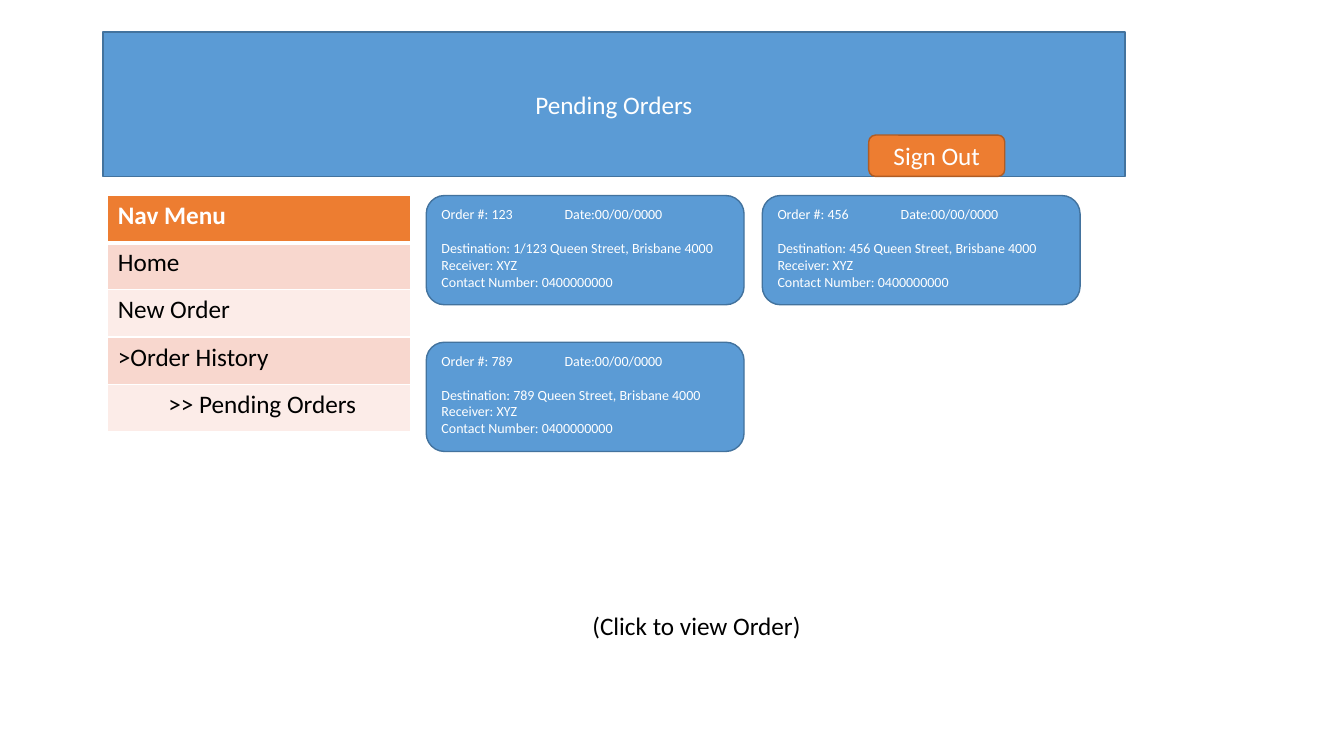
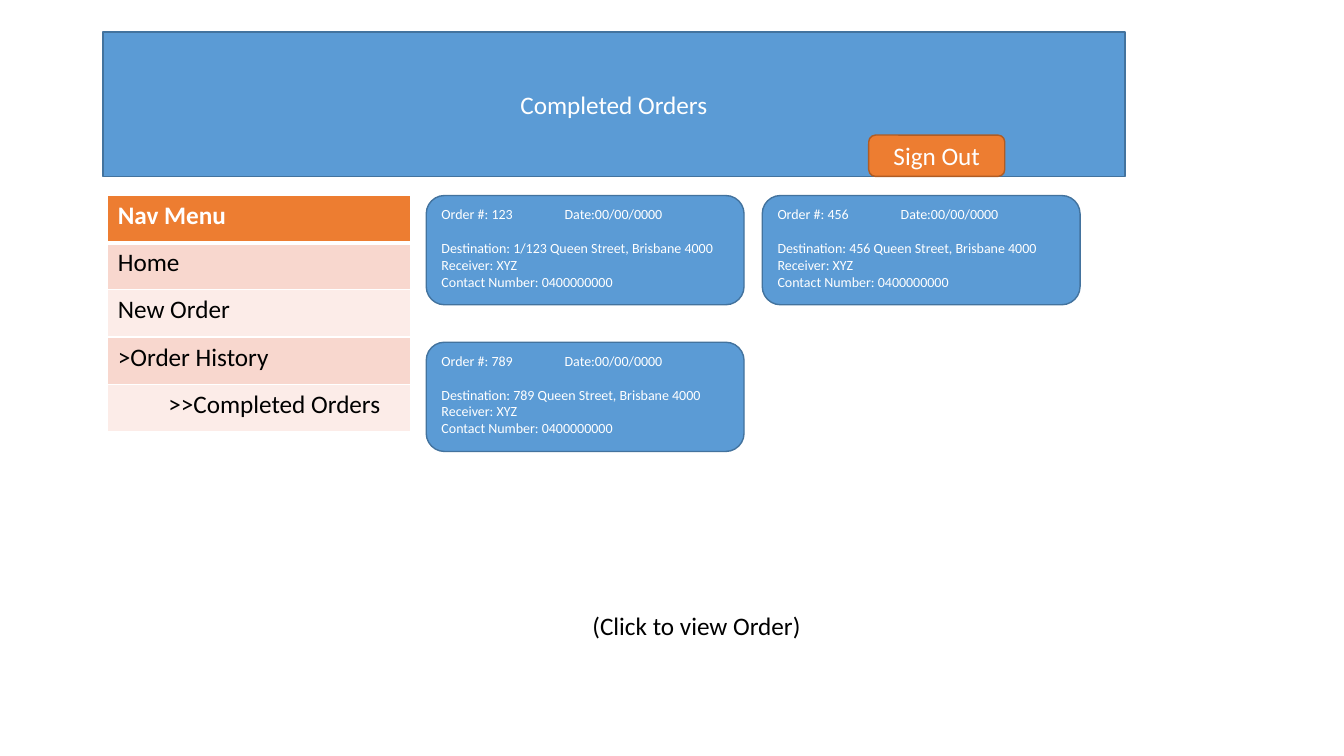
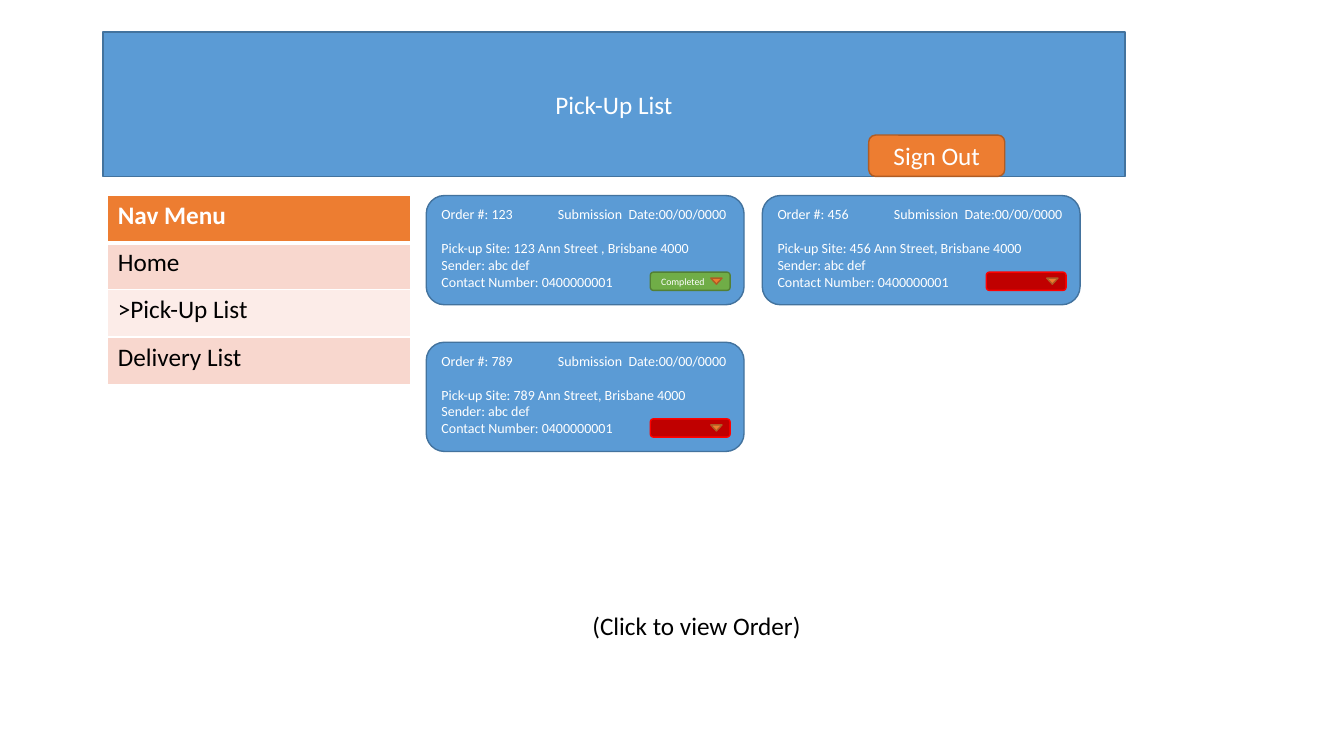
from dataclasses import dataclass

from pptx import Presentation
from pptx.dml.color import RGBColor
from pptx.enum.shapes import MSO_SHAPE as SHAPE
from pptx.enum.text import MSO_ANCHOR as ANCHOR, MSO_AUTO_SIZE as AUTO, PP_ALIGN as ALIGN
from pptx.oxml.ns import qn
from pptx.util import Pt
from lxml.etree import SubElement


@dataclass(frozen=True)
class Theme:
    font: str = "Calibri"
    body: int = 18
    small: int = 10
    tiny: int = 7
    white: str = "FFFFFF"
    black: str = "000000"
    blue: tuple = ("5B9BD5", "43739E")
    orange: tuple = ("ED7D31", "AF5C24")
    green: tuple = ("70AD47", "538035")
    red: tuple = ("C00000", "FF0000")
    bands: tuple = ("F8D7CE", "FCECE8")


T = Theme()

BANNER = (73.5, 23, 730, 103)
MENU = (77, 139.7, 216, 33.7)
CARDS = (304.5, 139.7, 227, 78)
CARD_PITCH = (240, 104.8)
HINT = (243.4, 392.4, 508.3, 108.7)


def rgb(value):
    return RGBColor.from_string(value)


def paint(s, colors):
    fill, line = colors
    s.fill.solid()
    s.fill.fore_color.rgb = rgb(fill)
    s.line.color.rgb = rgb(line)
    s.line.width = Pt(1)


def add_box(slide, kind, box, colors):
    s = slide.shapes.add_shape(kind, *map(Pt, box))
    s.shadow.inherit = False
    paint(s, colors)
    return s


def style(p, size, color, align=ALIGN.LEFT, bold=False):
    p.alignment = align
    p.font.name = T.font
    p.font.size = Pt(size)
    p.font.bold = bold
    p.font.color.rgb = rgb(color)


def write(tf, text, size, color, align=ALIGN.CENTER):
    tf.word_wrap = True
    tf.vertical_anchor = ANCHOR.MIDDLE
    p = tf.paragraphs[0]
    p.text = text
    style(p, size, color, align)


def add_tabs(p, stops):
    tabs = SubElement(p._p.get_or_add_pPr(), qn("a:tabLst"))
    for stop in stops:
        SubElement(tabs, qn("a:tab"), pos=str(Pt(stop)), algn="l")


def set_borders(cell, bottom):
    pr = cell._tc.get_or_add_tcPr()
    for side, width in (("L", 1), ("R", 1), ("T", 1), ("B", bottom)):
        ln = SubElement(pr, qn(f"a:ln{side}"), w=str(Pt(width)))
        SubElement(SubElement(ln, qn("a:solidFill")), qn("a:srgbClr"), val=T.white)


def draw_banner(slide, box, title):
    x, y, w, h = box
    s = slide.shapes.title
    s.left, s.top, s.width, s.height = map(Pt, box)
    paint(s, T.blue)
    write(s.text_frame, title, T.body, T.white)
    s.text_frame.auto_size = AUTO.NONE
    s.text_frame.paragraphs[0].line_spacing = 1.0
    button = add_box(slide, SHAPE.ROUNDED_RECTANGLE,
                     (x + 547, y + h - 29.5, 97.2, 29.5), T.orange)
    write(button.text_frame, "Sign Out", T.body, T.white)


def draw_menu(slide, box, items, nested):
    x, y, w, row_h = box
    rows = ["Nav Menu", *items, *nested]
    frame = slide.shapes.add_table(len(rows), 1, *map(Pt, (x, y, w, row_h * len(rows))))
    table = frame.table
    for i, text in enumerate(rows):
        header = i == 0
        cell = table.cell(i, 0)
        set_borders(cell, 3 if header else 1)
        cell.fill.solid()
        cell.fill.fore_color.rgb = rgb(T.orange[0] if header else T.bands[(i - 1) % 2])
        p = cell.text_frame.paragraphs[0]
        p.text = text
        if text in nested:
            p._p.get_or_add_pPr().set("marL", str(Pt(36)))
        style(p, T.body, T.white if header else T.black, bold=header)


def draw_card(slide, box, lines, stops):
    s = add_box(slide, SHAPE.ROUNDED_RECTANGLE, box, T.blue)
    tf = s.text_frame
    tf.word_wrap = True
    tf.vertical_anchor = ANCHOR.TOP
    for i, text in enumerate(lines):
        p = tf.paragraphs[0] if i == 0 else tf.add_paragraph()
        p.text = text
        if i == 0:
            add_tabs(p, stops)
        if i == 1:
            p.space_before = Pt(12)
        style(p, T.small, T.white)


def draw_status(slide, card, label):
    x, y = card[0] + 160, card[1] + 54.7
    s = add_box(slide, SHAPE.ROUNDED_RECTANGLE, (x, y, 57, 13), T.green if label else T.red)
    if label:
        write(s.text_frame, label, T.tiny, T.white, ALIGN.LEFT)
    arrow = add_box(slide, SHAPE.ISOSCELES_TRIANGLE, (x + 43.2, y + 4.3, 8, 4.3), T.orange)
    arrow.rotation = 180


def draw_hint(slide, box):
    s = slide.shapes.add_textbox(*map(Pt, box))
    write(s.text_frame, "(Click to view Order)", T.body, T.black)


def add_order_slide(prs, title, items, nested, cards, stops, statuses=()):
    slide = prs.slides.add_slide(prs.slide_layouts[5])
    draw_banner(slide, BANNER, title)
    draw_menu(slide, MENU, items, nested)
    x, y, w, h = CARDS
    boxes = [(x + i % 2 * CARD_PITCH[0], y + i // 2 * CARD_PITCH[1], w, h)
             for i in range(len(cards))]
    for box, lines in zip(boxes, cards):
        draw_card(slide, box, lines, stops)
    for box, label in zip(boxes, statuses):
        draw_status(slide, box, label)
    draw_hint(slide, HINT)


def delivery_card(order, street):
    return (f"Order #: {order}\tDate:00/00/0000",
            f"Destination: {street} Queen Street, Brisbane 4000",
            "Receiver: XYZ",
            "Contact Number: 0400000000")


def pickup_card(order, street):
    return (f"Order #: {order}\tSubmission\tDate:00/00/0000",
            f"Pick-up Site: {street}, Brisbane 4000",
            "Sender: abc def",
            "Contact Number: 0400000001")


def main():
    prs = Presentation()
    prs.slide_width, prs.slide_height = Pt(960), Pt(540)
    deliveries = [delivery_card(*order) for order in
                  (("123", "1/123"), ("456", "456"), ("789", "789"))]
    pickups = [pickup_card(*order) for order in
               (("123", "123 Ann Street "), ("456", "456 Ann Street"), ("789", "789 Ann Street"))]
    history = ["Home", "New Order", ">Order History"]
    for title, entry in (("Pending Orders", ">> Pending Orders"),
                         ("Completed Orders", ">>Completed Orders")):
        add_order_slide(prs, title, history, [entry], deliveries, (88,))
    add_order_slide(prs, "Pick-Up List", ["Home", ">Pick-Up List", "Delivery List"], [],
                    pickups, (83.2, 133.6), ("Completed", "", ""))
    prs.save("out.pptx")


if __name__ == "__main__":
    main()
